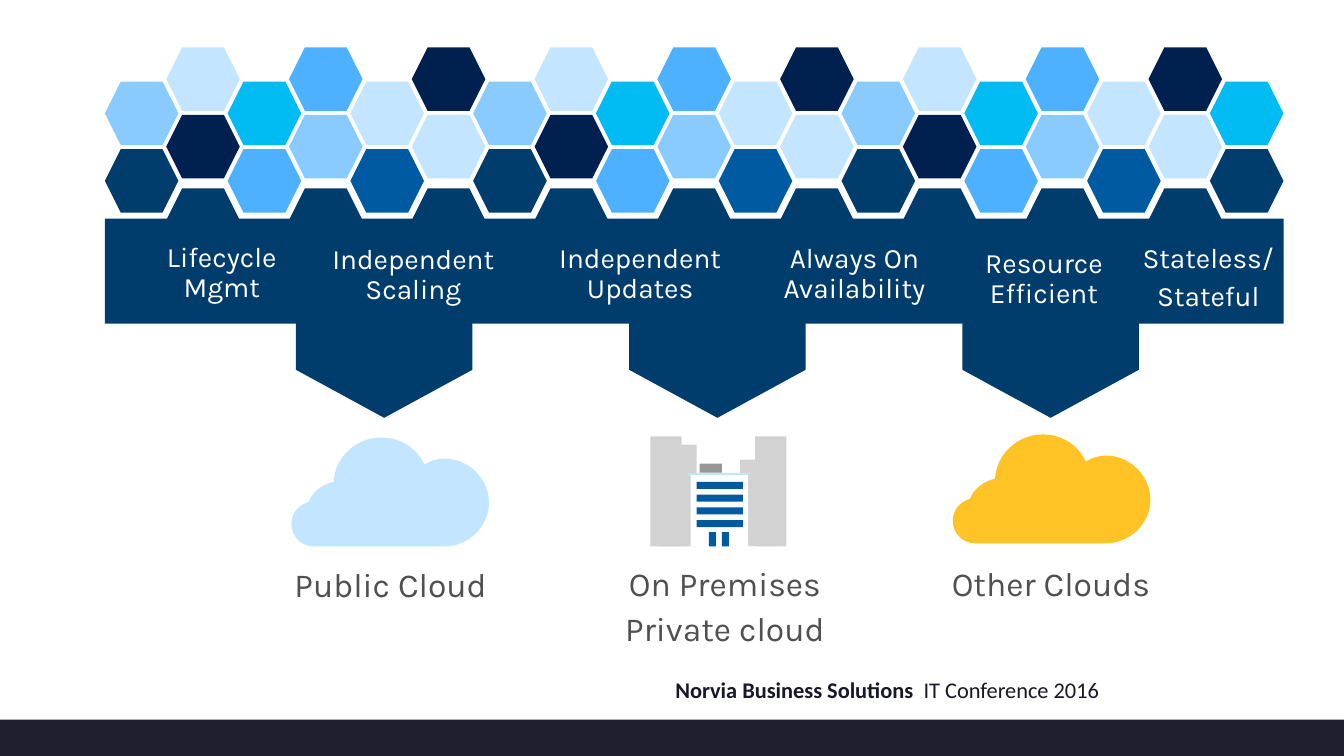
from dataclasses import dataclass

from lxml import etree
from pptx import Presentation
from pptx.dml.color import RGBColor
from pptx.enum import shapes, text
from pptx.oxml.ns import qn
from pptx.util import Inches, Pt


@dataclass(frozen=True)
class Theme:
    navy: str = "003C6C"
    midnight: str = "002050"
    blue: str = "005AA1"
    azure: str = "4EB1FF"
    sky: str = "89CBFF"
    pale: str = "C4E5FF"
    cyan: str = "00BCF2"
    amber: str = "FFC326"
    light_grey: str = "D2D2D2"
    mid_grey: str = "969696"
    white: str = "FFFFFF"
    caption_ink: str = "505050"
    footer_ink: str = "181828"
    footer_bar: str = "1F1F2F"
    label_font: str = "Karla"
    footer_font: str = "Calibri"
    feature_size: int = 20
    caption_size: int = 24
    footer_size: int = 16


@dataclass(frozen=True)
class Box:
    left: float
    top: float
    width: float
    height: float


@dataclass(frozen=True)
class Label:
    box: Box
    paragraphs: tuple[str, ...]
    size: int
    color: str
    align: text.PP_ALIGN = text.PP_ALIGN.CENTER


@dataclass(frozen=True)
class Block:
    box: Box
    color: str


THEME = Theme()
SHAPE = shapes.MSO_SHAPE
ALIGN = text.PP_ALIGN

BANNER = Box(1.04, 2.17, 11.69, 1.04)
HEX_WIDTH, HEX_HEIGHT = 0.73, 0.63
HEX_COLUMNS = 19
HEX_STEP = (BANNER.width - HEX_WIDTH) / (HEX_COLUMNS - 1)
HEX_ROWS = ((0.81, 1.48), (0.47, 1.14))
HEX_COLORS = (
    (THEME.sky, THEME.navy),
    (THEME.pale, THEME.midnight),
    (THEME.cyan, THEME.azure),
    (THEME.azure, THEME.sky),
    (THEME.pale, THEME.blue),
    (THEME.midnight, THEME.pale),
)
TOOTH_TOP = 1.87

CLOUD_START = (1.52, 1.08)
CLOUD_CURVES = (
    ((0.22, 1.08), (0.22, 1.08), (0.22, 1.08)),
    ((0.1, 1.08), (0, 0.98), (0, 0.86)),
    ((0, 0.75), (0.07, 0.67), (0.17, 0.64)),
    ((0.21, 0.54), (0.31, 0.46), (0.42, 0.44)),
    ((0.43, 0.2), (0.64, 0), (0.89, 0)),
    ((1.08, 0), (1.24, 0.1), (1.32, 0.27)),
    ((1.38, 0.23), (1.45, 0.21), (1.52, 0.21)),
    ((1.76, 0.21), (1.96, 0.41), (1.96, 0.65)),
    ((1.96, 0.88), (1.76, 1.08), CLOUD_START),
)

BUILDINGS = (
    Block(Box(7.49, 4.33, 0.31, 1.09), THEME.light_grey),
    Block(Box(6.45, 4.33, 0.31, 1.09), THEME.light_grey),
    Block(Box(6.53, 4.41, 0.38, 1.01), THEME.light_grey),
    Block(Box(7.34, 4.56, 0.38, 0.86), THEME.light_grey),
    Block(Box(6.85, 4.71, 0.57, 0.71), THEME.white),
    Block(Box(6.82, 4.69, 0.62, 0.02), THEME.pale),
    *(Block(Box(left, 5.28, 0.07, 0.14), THEME.blue) for left in (7.16, 7.03)),
    *(Block(Box(6.91, 4.78 + 0.38 * floor / 3, 0.46, 0.07), THEME.blue) for floor in range(4)),
    Block(Box(6.94, 4.6, 0.22, 0.09), THEME.mid_grey),
)


def feature(box: Box, *paragraphs: str) -> Label:
    return Label(box, paragraphs, THEME.feature_size, THEME.white)


def caption(box: Box, *paragraphs: str, align: text.PP_ALIGN = ALIGN.LEFT) -> Label:
    return Label(box, paragraphs, THEME.caption_size, THEME.caption_ink, align)


LABELS = (
    caption(Box(2.72, 5.48, 2.85, 0.69), "Public Cloud"),
    caption(Box(9.24, 5.47, 3.17, 0.69), "Other Clouds"),
    caption(Box(5.79, 5.47, 2.8, 1.13), "On Premises", "Private cloud", align=ALIGN.CENTER),
    feature(Box(1.39, 2.25, 1.62, 0.95), "Lifecycle\nMgmt"),
    feature(Box(3.03, 2.27, 2.14, 0.95), "Independent Scaling"),
    feature(Box(5.28, 2.26, 2.14, 0.95), "Independent Updates"),
    feature(Box(7.57, 2.26, 1.81, 0.94), "Always On\nAvailability"),
    feature(Box(9.45, 2.31, 1.81, 0.93), "Resource\nEfficient"),
    feature(Box(11.08, 2.26, 1.81, 1.01), "Stateless/", "Stateful"),
)


def lengths(box: Box) -> tuple:
    return Inches(box.left), Inches(box.top), Inches(box.width), Inches(box.height)


def paint(item, color: str) -> None:
    item.shadow.inherit = False
    item.fill.solid()
    item.fill.fore_color.rgb = RGBColor.from_string(color)
    item.line.fill.background()


def add_preset(parent, kind: shapes.MSO_SHAPE, box: Box, color: str):
    preset = parent.shapes.add_shape(kind, *lengths(box))
    paint(preset, color)
    return preset


def add_hexagon(parent, column: int, top: float, color: str) -> None:
    left = BANNER.left + HEX_STEP * column
    add_preset(parent, SHAPE.HEXAGON, Box(left, top, HEX_WIDTH, HEX_HEIGHT), color)


def add_honeycomb(slide) -> None:
    honeycomb = slide.shapes.add_group_shape()
    for column in range(HEX_COLUMNS):
        colors = HEX_COLORS[column % len(HEX_COLORS)]
        if column == HEX_COLUMNS - 1:
            colors = (THEME.cyan, THEME.navy)
        for top, color in zip(HEX_ROWS[column % 2], colors):
            add_hexagon(honeycomb, column, top, color)


def add_cloud(slide, left: float, top: float, color: str) -> None:
    builder = slide.shapes.build_freeform(*CLOUD_START, scale=Inches(1))
    builder = slide.shapes.build_freeform(Inches(CLOUD_START[0]), Inches(CLOUD_START[1]))
    builder.add_line_segments([(Inches(x), Inches(y)) for *_, (x, y) in CLOUD_CURVES])
    cloud = builder.convert_to_shape(Inches(left), Inches(top))
    segments = list(cloud.element.iter(qn("a:lnTo")))
    for segment, curve in zip(segments, CLOUD_CURVES):
        segment.tag = qn("a:cubicBezTo")
        for child in list(segment):
            segment.remove(child)
        for x, y in curve:
            etree.SubElement(segment, qn("a:pt"), x=str(Inches(x)), y=str(Inches(y)))
    paint(cloud, color)


def add_run(paragraph, words: str, font: str, size: int, color: str, bold: bool = False) -> None:
    run = paragraph.add_run()
    run.text = words
    run.font.name = font
    run.font.size = Pt(size)
    run.font.bold = bold
    run.font.color.rgb = RGBColor.from_string(color)


def add_label(slide, label: Label) -> None:
    frame = slide.shapes.add_textbox(*lengths(label.box)).text_frame
    frame.word_wrap = True
    frame.margin_left = frame.margin_right = Inches(0.2)
    frame.margin_top = frame.margin_bottom = Inches(0.16)
    for index, content in enumerate(label.paragraphs):
        paragraph = frame.add_paragraph() if index else frame.paragraphs[0]
        paragraph.alignment = label.align
        paragraph.line_spacing = 0.9
        paragraph.space_after = Pt(6)
        for row, words in enumerate(content.split("\n")):
            if row:
                paragraph.add_line_break()
            add_run(paragraph, words, THEME.label_font, label.size, label.color)


def add_footer(slide) -> None:
    frame = slide.shapes.add_textbox(*lengths(Box(4.33, 6.66, 6.67, 0.37))).text_frame
    frame.word_wrap = True
    line = frame.paragraphs[0]
    line.alignment = ALIGN.RIGHT
    for words, bold in (("Norvia Business Solutions  ", True), ("IT Conference 2016", False)):
        add_run(line, words, THEME.footer_font, THEME.footer_size, THEME.footer_ink, bold)
    add_preset(slide, SHAPE.RECTANGLE, Box(0, 7.14, 13.33, 0.36), THEME.footer_bar)


def main() -> None:
    deck = Presentation()
    deck.slide_width, deck.slide_height = Inches(13.33), Inches(7.5)
    slide = deck.slides.add_slide(deck.slide_layouts[6])
    add_footer(slide)
    for column in range(1, HEX_COLUMNS, 2):
        add_hexagon(slide, column, TOOTH_TOP, THEME.navy)
    for index in range(3):
        arrow = add_preset(slide, SHAPE.PENTAGON, Box(3.19 + 3.305 * index, 2.65, 1.24, 1.75), THEME.navy)
        arrow.adjustments[0] = 0.384
        arrow.rotation = 90
    add_preset(slide, SHAPE.RECTANGLE, BANNER, THEME.navy)
    add_honeycomb(slide)
    add_cloud(slide, 2.89, 4.34, THEME.pale)
    add_cloud(slide, 9.45, 4.31, THEME.amber)
    skyline = slide.shapes.add_group_shape()
    for block in BUILDINGS:
        add_preset(skyline, SHAPE.RECTANGLE, block.box, block.color)
    for label in LABELS:
        add_label(slide, label)
    deck.save("out.pptx")


if __name__ == "__main__":
    main()
